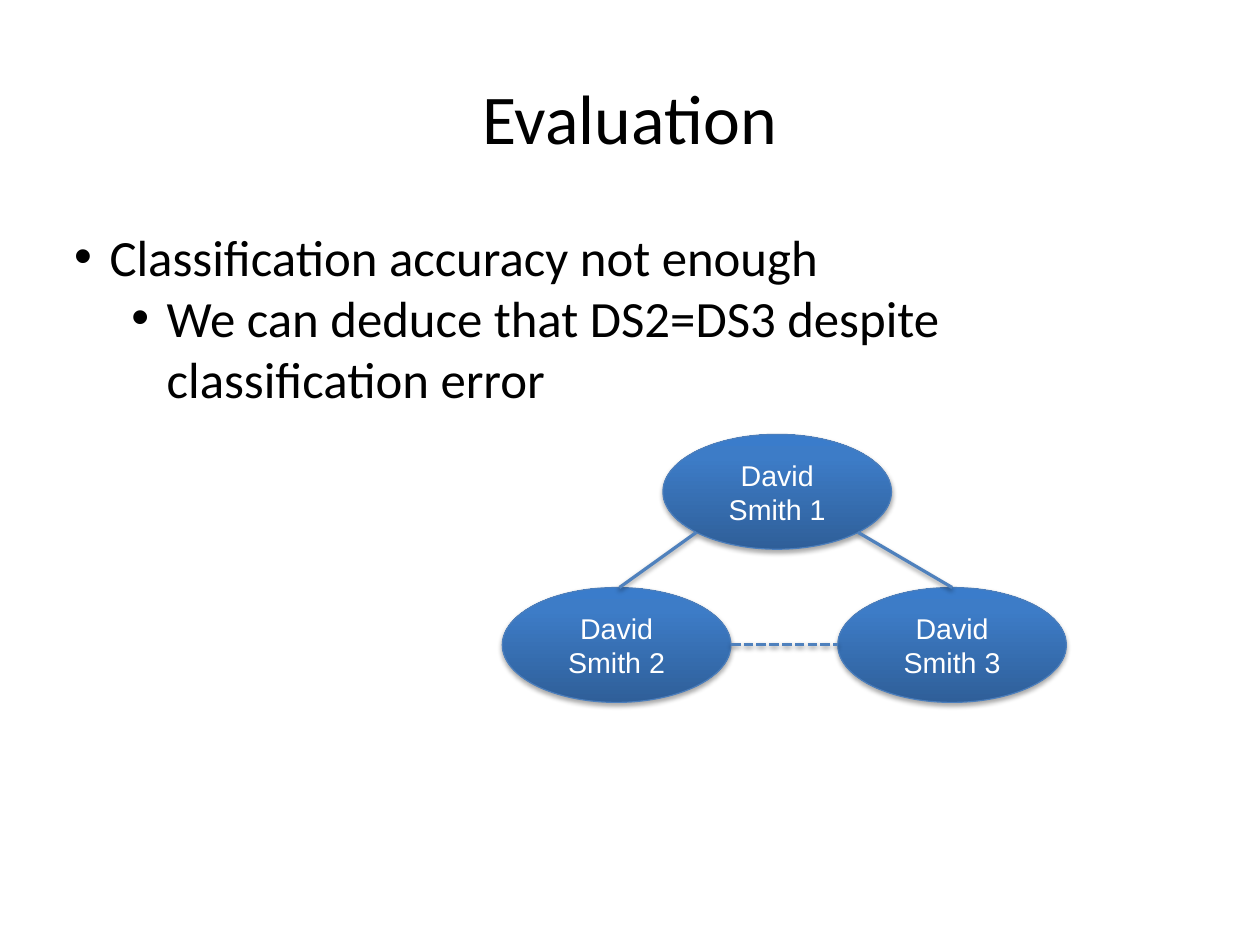
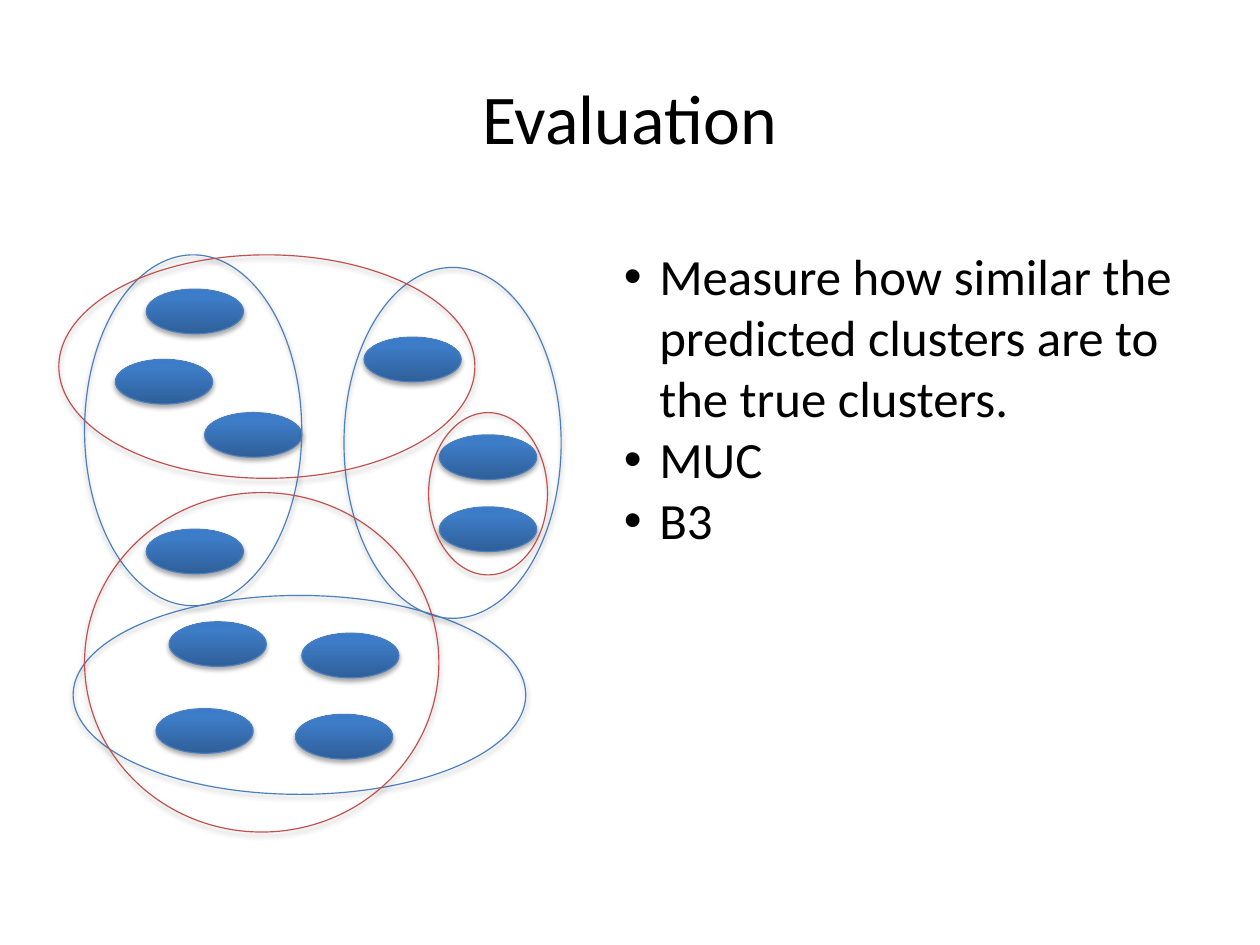
import math
from dataclasses import dataclass
from typing import Optional

import pptx
import pptx.dml.color
import pptx.enum.dml
import pptx.enum.shapes
import pptx.enum.text
import pptx.oxml
import pptx.oxml.ns
import pptx.util

RGBColor = pptx.dml.color.RGBColor
PP_ALIGN = pptx.enum.text.PP_ALIGN
MSO_ANCHOR = pptx.enum.text.MSO_ANCHOR

BLACK = RGBColor(0x00, 0x00, 0x00)
WHITE = RGBColor(0xFF, 0xFF, 0xFF)
BLUE = RGBColor(0x4B, 0x7E, 0xBC)
LINK_BLUE = RGBColor(0x4F, 0x81, 0xBD)
RED = RGBColor(0xC0, 0x50, 0x4D)
# Gradient stops run from the bottom of the oval to its top.
GLOSS = ((0, RGBColor(0x2F, 0x5F, 0x99)),
         (80, RGBColor(0x3D, 0x7C, 0xC7)),
         (100, RGBColor(0x3A, 0x7C, 0xCB)))

HEAD_FONT = "Calibri"
NODE_FONT = "Arial"
SLIDE_W, SLIDE_H = pptx.util.Cm(28), pptx.util.Cm(21)
CELL = 0.1  # inches per grid column and row
INDENT = 3.1
LEVEL_STEP = 5


@dataclass(frozen=True)
class Box:
    """An area in grid columns and rows."""
    x: float
    y: float
    w: float
    h: float

    def rim(self, degrees: float) -> tuple[float, float]:
        """Point on the inscribed ellipse, clockwise from the right."""
        a = math.radians(degrees)
        return (self.x + self.w / 2 * (1 + math.cos(a)),
                self.y + self.h / 2 * (1 + math.sin(a)))


@dataclass(frozen=True)
class Bullet:
    text: str
    level: int = 0


@dataclass(frozen=True)
class Cluster:
    box: Box
    color: RGBColor


@dataclass(frozen=True)
class Link:
    start: tuple[float, float]
    end: tuple[float, float]
    dashed: bool = False


TITLE = Box(5.5, 3.3, 99.2, 13.8)
BODY = Box(5.5, 19.25, 99.2, 54.6)
SIDE_BODY = Box(53.6, 20.95, 52.8, 54.6)

NODE_W, NODE_H = 20, 10.05
TOP_NODE = Box(58, 38, NODE_W, NODE_H)
LEFT_NODE = Box(43.95, 51.4, NODE_W, NODE_H)
RIGHT_NODE = Box(73.3, 51.4, NODE_W, NODE_H)
NODES = (TOP_NODE, LEFT_NODE, RIGHT_NODE)
LINKS = (Link((54.2, LEFT_NODE.y), TOP_NODE.rim(135)),
         Link(TOP_NODE.rim(45), RIGHT_NODE.rim(270)),
         Link(LEFT_NODE.rim(0), RIGHT_NODE.rim(180), dashed=True))

MENTION_W, MENTION_H = 8.5, 3.9
MENTIONS = ((12.8, 25.3), (31.85, 29.5), (17.9, 36.1), (38.45, 38.05),
            (10.1, 31.45), (26.4, 55.4), (14.8, 54.4), (38.45, 44.35),
            (12.8, 46.3), (25.85, 62.5), (13.65, 62))
CLUSTERS = (Cluster(Box(7.4, 22.3, 19, 30.7), BLUE),
            Cluster(Box(6.4, 52.1, 39.6, 17.4), BLUE),
            Cluster(Box(30.1, 23.4, 19, 30.7), BLUE),
            Cluster(Box(5.15, 22.3, 36.4, 19.55), RED),
            Cluster(Box(7.4, 43.1, 31, 29.7), RED),
            Cluster(Box(37.5, 36.1, 10.4, 14.2), RED))


def grid(n: float) -> pptx.util.Emu:
    return pptx.util.Inches(n * CELL)


def place(box: Box) -> tuple:
    return grid(box.x), grid(box.y), grid(box.w), grid(box.h)


def xml(body: str):
    """Build one DrawingML element, declaring its a: namespace."""
    ns = pptx.oxml.ns.nsdecls("a")
    tag, rest = body.split(" ", 1)
    return pptx.oxml.parse_xml(f"{tag} {ns} {rest}")


def add_shadow(sp, *, alpha: int, distance: int) -> None:
    sp._element.spPr.append(xml(
        '<a:effectLst ><a:outerShdw blurRad="40000" '
        f'dist="{distance}" dir="5400000" rotWithShape="0">'
        f'<a:srgbClr val="{BLACK}"><a:alpha val="{alpha * 1000}"/></a:srgbClr>'
        '</a:outerShdw></a:effectLst>'))


def add_gloss(sp) -> None:
    stops = "".join(f'<a:gs pos="{pos * 1000}"><a:srgbClr val="{color}"/></a:gs>'
                    for pos, color in GLOSS)
    outline = sp._element.spPr.find(pptx.oxml.ns.qn("a:ln"))
    outline.addprevious(xml(
        f'<a:gradFill rotWithShape="1"><a:gsLst>{stops}</a:gsLst>'
        '<a:lin ang="16200000" scaled="0"/></a:gradFill>'))


def write(p, text: str, *, size: float, font: str = HEAD_FONT,
          color: RGBColor = BLACK,
          align: Optional[PP_ALIGN] = None) -> None:
    p.alignment = align
    r = p.add_run()
    r.text = text
    r.font.size = pptx.util.Pt(size)
    r.font.name = font
    r.font.color.rgb = color


def add_frame(s, box: Box, anchor: MSO_ANCHOR):
    tf = s.shapes.add_textbox(*place(box)).text_frame
    tf.word_wrap = True
    tf.vertical_anchor = anchor
    return tf


def add_bullets(s, box: Box, bullets: tuple[Bullet, ...]) -> None:
    tf = add_frame(s, box, MSO_ANCHOR.TOP)
    for i, bullet in enumerate(bullets):
        p = tf.add_paragraph() if i else tf.paragraphs[0]
        write(p, bullet.text, size=32)
        p.level = bullet.level
        pPr = p._p.get_or_add_pPr()
        pPr.set("marL", str(grid(INDENT + LEVEL_STEP * bullet.level)))
        pPr.set("indent", str(grid(-INDENT)))
        pPr.append(xml('<a:buFont typeface="Arial"/>'))
        pPr.append(xml('<a:buChar char="•"/>'))


def add_oval(s, box: Box, *, color: RGBColor = BLUE, glossy: bool = True,
             text: str = "") -> None:
    sp = s.shapes.add_shape(pptx.enum.shapes.MSO_SHAPE.OVAL, *place(box))
    sp.line.color.rgb = color
    sp.line.width = pptx.util.Pt(0.75)
    if glossy:
        add_gloss(sp)
    else:
        sp.fill.background()
    add_shadow(sp, alpha=35, distance=23000)
    if text:
        tf = sp.text_frame
        tf.word_wrap = True
        tf.vertical_anchor = MSO_ANCHOR.MIDDLE
        write(tf.paragraphs[0], text, size=18, font=NODE_FONT, color=WHITE,
              align=PP_ALIGN.CENTER)


def add_link(s, link: Link) -> None:
    ends = [grid(n) for n in (*link.start, *link.end)]
    sp = s.shapes.add_connector(pptx.enum.shapes.MSO_CONNECTOR.STRAIGHT, *ends)
    sp.line.color.rgb = LINK_BLUE
    sp.line.width = pptx.util.Pt(2)
    if link.dashed:
        sp.line.dash_style = pptx.enum.dml.MSO_LINE.DASH
        dash = sp.line._ln.find(pptx.oxml.ns.qn("a:prstDash"))
        dash.set("val", "sysDash")
    add_shadow(sp, alpha=38, distance=20000)


def add_titled_slide(prs, title: str):
    s = prs.slides.add_slide(prs.slide_layouts[6])
    tf = add_frame(s, TITLE, MSO_ANCHOR.MIDDLE)
    write(tf.paragraphs[0], title, size=44, align=PP_ALIGN.CENTER)
    return s


def build_deduction_slide(prs) -> None:
    s = add_titled_slide(prs, "Evaluation")
    add_bullets(s, BODY, (
        Bullet("Classification accuracy not enough"),
        Bullet("We can deduce that DS2=DS3 despite classification error", 1)))
    for number, box in enumerate(NODES, start=1):
        add_oval(s, box, text=f"David Smith {number}")
    for link in LINKS:
        add_link(s, link)


def build_cluster_slide(prs) -> None:
    s = add_titled_slide(prs, "Evaluation")
    for x, y in MENTIONS:
        add_oval(s, Box(x, y, MENTION_W, MENTION_H))
    for cluster in CLUSTERS:
        add_oval(s, cluster.box, color=cluster.color, glossy=False)
    add_bullets(s, SIDE_BODY, (
        Bullet("Measure how similar the predicted clusters are to "
               "the true clusters."),
        Bullet("MUC"),
        Bullet("B3")))


def main() -> None:
    prs = pptx.Presentation()
    prs.slide_width, prs.slide_height = SLIDE_W, SLIDE_H
    build_deduction_slide(prs)
    build_cluster_slide(prs)
    prs.save("out.pptx")


if __name__ == "__main__":
    main()
